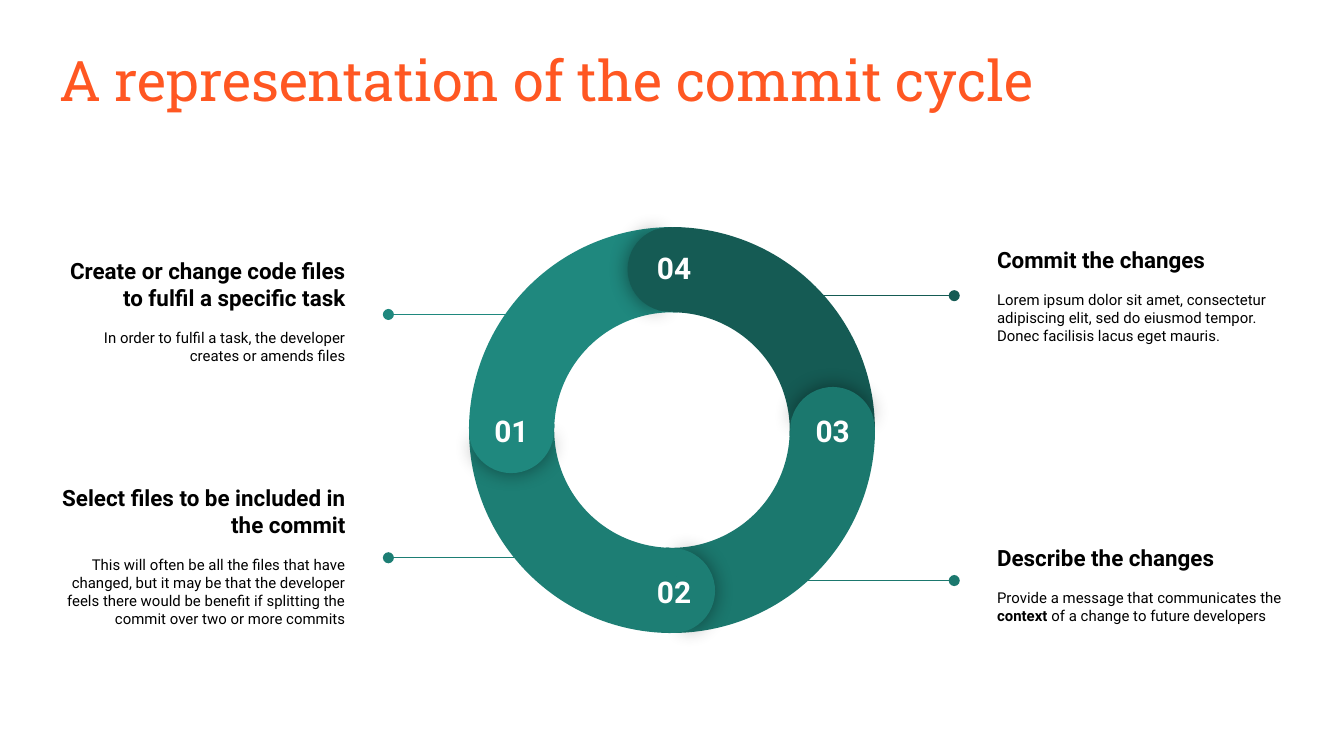
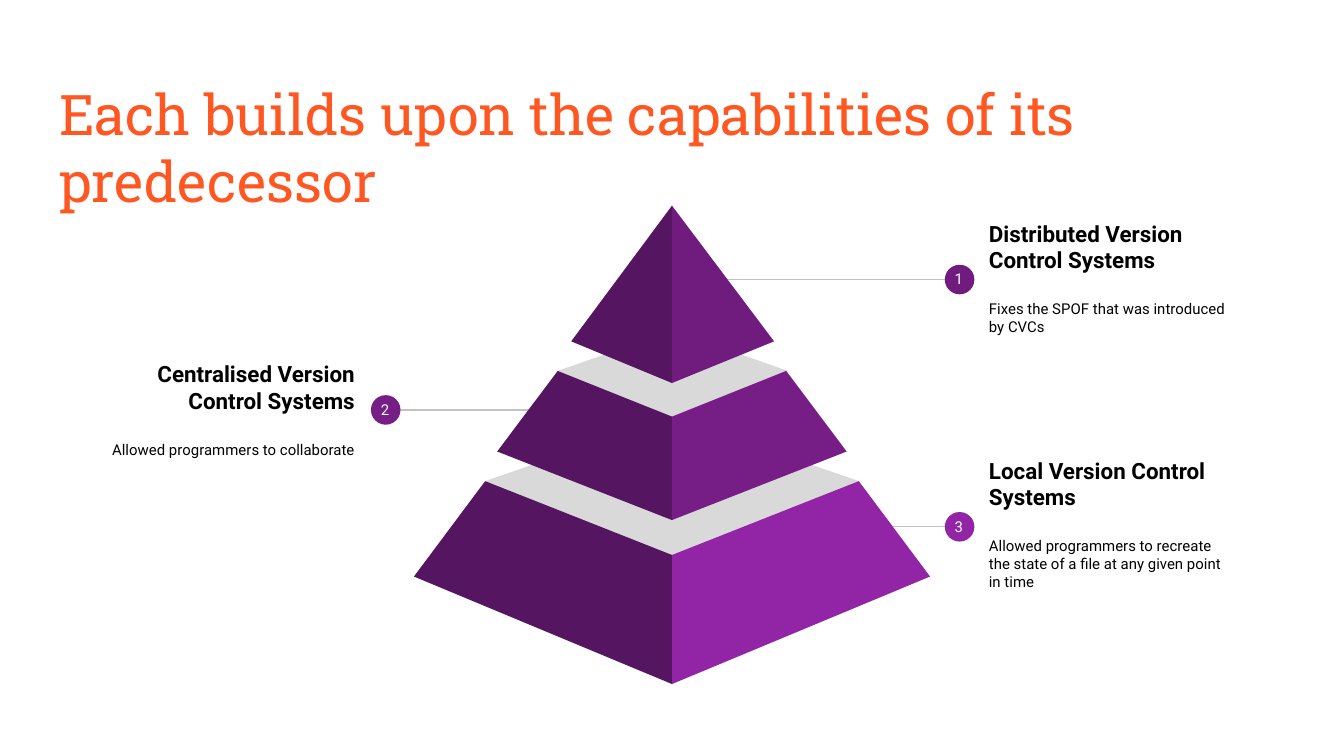
from lxml import etree
from pptx import Presentation, util as u
from pptx.dml.color import RGBColor
from pptx.enum import shapes, text
from pptx.oxml.ns import qn

PX = 9144  # EMU per px, 100 px to the inch
COLORS = {
    "title": "FF5722", "ink": "000000", "white": "FFFFFF",
    "create": "1F887E", "select": "1D7E74", "describe": "1B786E", "commit": "155B54",
    "shade": "551561", "top": "701C7F", "middle": "761E86", "base": "9225A5",
    "ledge": "D9D9D9", "rule": "C2C2C2",
}
LEFT, CENTER, RIGHT = text.PP_ALIGN.LEFT, text.PP_ALIGN.CENTER, text.PP_ALIGN.RIGHT
TOP, MIDDLE = text.MSO_ANCHOR.TOP, text.MSO_ANCHOR.MIDDLE


def paint(shape, color):
    shape.shadow.inherit = False
    shape.fill.solid()
    shape.fill.fore_color.rgb = RGBColor.from_string(COLORS[color])
    shape.line.fill.background()


def write(box, paragraphs, color, align=LEFT, anchor=TOP, font="Roboto"):
    """Fill a box; each paragraph is (size, space before, [(words, bold), ...])."""
    frame = box.text_frame
    frame.word_wrap = True
    frame.auto_size = text.MSO_AUTO_SIZE.NONE
    frame.vertical_anchor = anchor
    frame.margin_left = frame.margin_right = 10 * PX
    frame.margin_top = frame.margin_bottom = 10 * PX
    for index, (size, before, runs) in enumerate(paragraphs):
        para = frame.add_paragraph() if index else frame.paragraphs[0]
        para.alignment = align
        para.space_before = u.Pt(before)
        para.space_after = u.Pt(16 if index else 0)
        for words, bold in runs:
            span = para.add_run()
            span.text = words
            span.font.name = font
            span.font.size = u.Pt(size)
            span.font.bold = bold
            span.font.color.rgb = RGBColor.from_string(COLORS[color])


deck = Presentation()
deck.slide_width = 1000 * PX
deck.slide_height = deck.slide_width * 9 // 16

# Pages and titles
pages = []
for top, words in [(24, "A representation of the commit cycle"),
                   (49, "Each builds upon the capabilities of its predecessor")]:
    page = deck.slides.add_slide(deck.slide_layouts[5])
    title = page.shapes.title
    title.left, title.top, title.width, title.height = 34 * PX, top * PX, 932 * PX, 63 * PX
    write(title, [(30, 0, [(words, False)])], "title", font="Roboto Slab")
    pages.append(page)
cycle, pyramid = pages

# Ring: four quarter arcs
for color, turn in [("select", 240), ("create", 330), ("commit", 60), ("describe", 150)]:
    arc = cycle.shapes.add_shape(shapes.MSO_SHAPE.BLOCK_ARC,
                                 349 * PX, 169 * PX, 302 * PX, 302 * PX)
    arc.rotation = turn
    for index, value in enumerate([126.23, 181.77, 0.21]):
        arc.adjustments[index] = value
    paint(arc, color)

# Round caps: a shadowed front half and a plain back half, then the number
for number, color, left, top, turn, label_left, label_top in [
        ("03", "describe", 588, 288, 90, 592, 297),
        ("02", "select", 469, 408, 180, 474, 417),
        ("01", "create", 349, 289, 270, 353, 297),
        ("04", "commit", 467, 169, 0, 474, 176)]:
    for start, end, extra, shadowed in [(61.9, 149.96, 0.7, True),
                                        (40.28, 171.84, 180, False)]:
        cap = cycle.shapes.add_shape(shapes.MSO_SHAPE.PIE,
                                     left * PX, top * PX, 63 * PX, 63 * PX)
        cap.rotation = (turn + extra) % 360
        cap.adjustments[0], cap.adjustments[1] = start, end
        paint(cap, color)
        if shadowed:
            effects = cap.element.spPr.find(qn("a:effectLst"))
            shadow = etree.SubElement(effects, qn("a:outerShdw"), blurRad=str(u.Pt(11.2)),
                                      dist="0", dir="0", algn="bl", rotWithShape="0")
            tint = etree.SubElement(shadow, qn("a:srgbClr"), val=COLORS["ink"])
            etree.SubElement(tint, qn("a:alpha"), val="43000")
    label = cycle.shapes.add_textbox(label_left * PX, label_top * PX, 55 * PX, 29 * PX)
    write(label, [(16, 0, [(number, True)])], "white", CENTER)

# Callouts: text, leader line (from x, to x, y), and a numbered badge on the pyramid
callouts = [
    (cycle, (35, 161), RIGHT, "create", (403, 289, 234), None,
     "Create or change code files to fulfil a specific task",
     [("In order to fulfil a task, the developer creates or amends files", False)]),
    (cycle, (35, 343), RIGHT, "select", (432, 289, 415), None,
     "Select files to be included in the commit",
     [("This will often be all the files that have changed, but it may be that the developer "
       "feels there would be benefit if splitting the commit over two or more commits", False)]),
    (cycle, (732, 149), LEFT, "commit", (570, 710, 220), None,
     "Commit the changes",
     [("Lorem ipsum dolor sit amet, consectetur adipiscing elit, sed do eiusmod tempor. "
       "Donec facilisis lacus eget mauris.", False)]),
    (cycle, (732, 364), LEFT, "describe", (570, 710, 432), None,
     "Describe the changes",
     [("Provide a message that communicates the ", False), ("context", True),
      (" of a change to future developers", False)]),
    (pyramid, (726, 314), LEFT, "base", (660, 724, 392), ("3", 703),
     "Local Version Control Systems",
     [("Allowed programmers to recreate the state of a file at any given point in time", False)]),
    (pyramid, (70, 229), RIGHT, "middle", (397, 283, 305), ("2", 276),
     "Centralised Version Control Systems",
     [("Allowed programmers to collaborate", False)]),
    (pyramid, (726, 131), LEFT, "top", (537, 724, 208), ("1", 703),
     "Distributed Version Control Systems",
     [("Fixes the SPOF that was introduced by CVCs", False)]),
]
for page, (left, top), align, color, (start, end, y), badge, heading, body in callouts:
    width, height, gap = (204, 151, 14) if badge else (232, 141, 9.4)
    box = page.shapes.add_textbox(left * PX, top * PX, width * PX, height * PX)
    write(box, [(12, 0, [(heading, True)]), (8, gap, body)], "ink", align, MIDDLE)

    leader = page.shapes.add_connector(shapes.MSO_CONNECTOR.STRAIGHT,
                                       start * PX, y * PX, end * PX, y * PX)
    leader.line.width = u.Pt(0.75)
    leader.line.color.rgb = RGBColor.from_string(COLORS["rule" if badge else color])
    properties = leader.element.spPr
    if not badge:
        etree.SubElement(properties.find(qn("a:ln")), qn("a:tailEnd"), type="oval")
    etree.SubElement(properties, qn("a:effectLst"))

    if badge:
        number, x = badge
        disc = page.shapes.add_shape(shapes.MSO_SHAPE.OVAL,
                                     x * PX, (y - 11) * PX, 22 * PX, 22 * PX)
        paint(disc, color)
        label = page.shapes.add_textbox((x - 3) * PX, (y - 17) * PX, 27 * PX, 34 * PX)
        write(label, [(8, 0, [(number, False)])], "white", CENTER)

# Pyramid: tiers from the base up, each with a ledge and two faces
for color, outline in [
        ("ledge", [(361, 358), (500, 414), (639, 358), (500, 310)]),
        ("shade", [(361, 358), (308, 429), (500, 509), (500, 413)]),
        ("base", [(639, 358), (692, 429), (500, 509), (500, 413)]),
        ("ledge", [(415, 276), (500, 310), (586, 276), (501, 246)]),
        ("shade", [(415, 276), (500, 310), (500, 387), (370, 336)]),
        ("middle", [(585, 276), (500, 310), (500, 387), (630, 336)]),
        ("shade", [(500, 153), (425, 254), (500, 285)]),
        ("top", [(500, 153), (576, 254), (500, 285)])]:
    builder = pyramid.shapes.build_freeform(*outline[0], scale=PX)
    builder.add_line_segments(outline[1:], close=True)
    paint(builder.convert_to_shape(), color)

deck.save("out.pptx")
